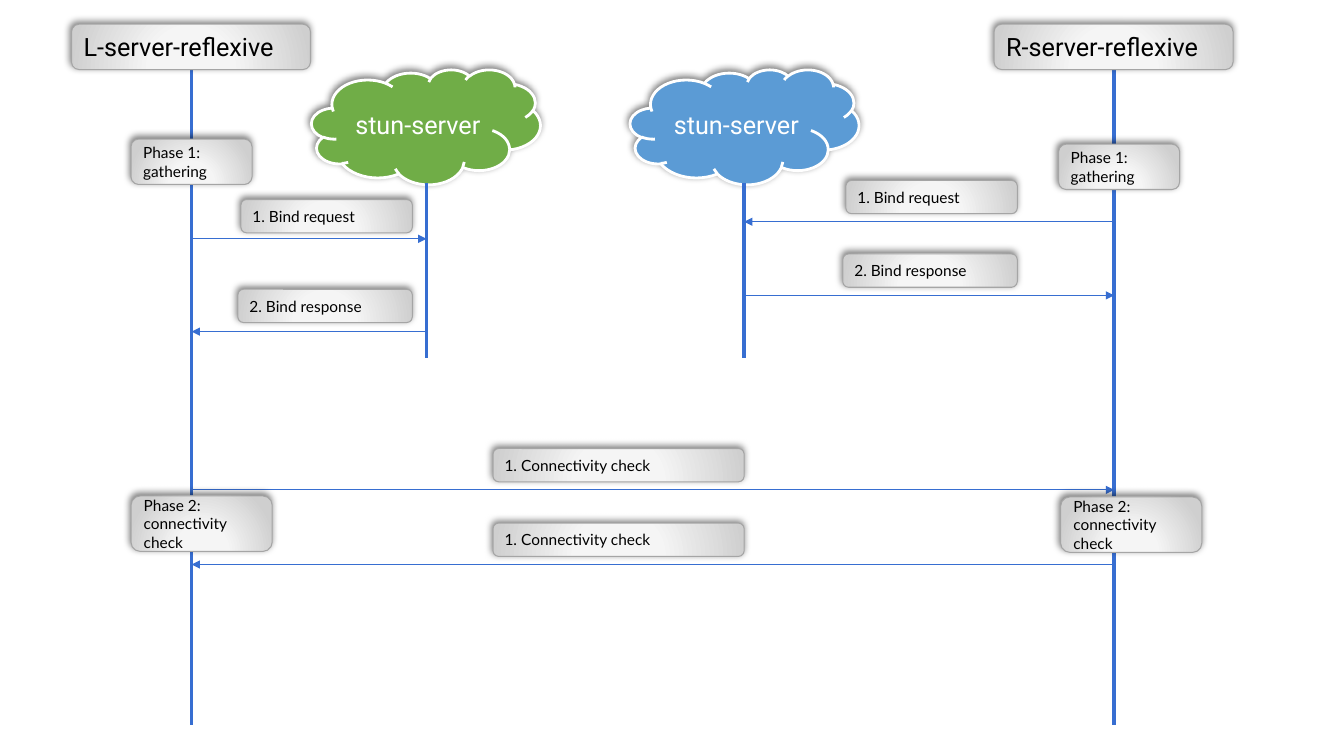
from dataclasses import dataclass

import pptx
import pptx.dml.color
import pptx.enum.shapes
import pptx.enum.text
import pptx.oxml
import pptx.oxml.ns
import pptx.shapes.autoshape
import pptx.shapes.connector
import pptx.slide
import pptx.util

Inches = pptx.util.Inches
Pt = pptx.util.Pt
MSO_SHAPE = pptx.enum.shapes.MSO_SHAPE
PP_ALIGN = pptx.enum.text.PP_ALIGN

LEFT, LEFT_STUN, RIGHT_STUN, RIGHT = 1.9, 4.23, 7.38, 11.05
BLUE, GREY, BLACK, WHITE = "376ED1", "A5A5A5", "000000", "FFFFFF"
LABEL_HEIGHT = 0.33
GRADIENT_STOPS = ((0, "F8F8F8"), (34, "F5F5F5"), (100, "CFCFCF"))
NS = pptx.oxml.ns.nsdecls("a")


@dataclass
class Box:
    text: str
    left: float
    top: float
    width: float
    height: float
    size: float = 11
    font: str = "Lato"


@dataclass
class Cloud:
    left: float
    color: str


@dataclass
class Lifeline:
    x: float
    top: float
    bottom: float


@dataclass
class Message:
    text: str
    start: float
    end: float
    y: float
    label_left: float
    label_top: float
    label_width: float


LIFELINES = [
    Lifeline(LEFT, 0.69, 7.19),
    Lifeline(LEFT_STUN, 1.82, 3.55),
    Lifeline(RIGHT_STUN, 1.82, 3.55),
    Lifeline(RIGHT, 0.69, 7.19),
]
CLOUDS = [Cloud(3.09, "70AD47"), Cloud(6.25, "5B9BD5")]
MESSAGES = [
    Message("1. Bind request", LEFT, LEFT_STUN, 2.37, 2.39, 1.98, 1.7),
    Message("2. Bind response", LEFT_STUN, LEFT, 3.29, 2.36, 2.87, 1.73),
    Message("1. Bind request", RIGHT, RIGHT_STUN, 2.2, 8.39, 1.79, 1.7),
    Message("2. Bind response", RIGHT_STUN, RIGHT, 2.93, 8.36, 2.52, 1.73),
    Message("1. Connectivity check", LEFT, RIGHT, 4.86, 4.89, 4.45, 2.49),
    Message("1. Connectivity check", RIGHT, LEFT, 5.6, 4.89, 5.19, 2.49),
]
BOXES = [
    Box("L-server-reflexive", 0.71, 0.24, 2.37, 0.45, 18, "Roboto"),
    Box("R-server-reflexive", 9.86, 0.24, 2.37, 0.45, 18, "Roboto"),
    Box("Phase 1: gathering", 1.3, 1.38, 1.2, 0.45),
    Box("Phase 1: gathering", 10.5, 1.43, 1.2, 0.45),
    Box("Phase 2: connectivity check", 1.3, 4.92, 1.4, 0.55),
    Box("Phase 2: connectivity check", 10.52, 4.93, 1.4, 0.55),
]


def rgb(color: str) -> pptx.dml.color.RGBColor:
    return pptx.dml.color.RGBColor.from_string(color)


def add_shadow(sp: pptx.shapes.autoshape.Shape) -> None:
    sp.shadow.inherit = False
    effects = sp._element.spPr.find(pptx.oxml.ns.qn("a:effectLst"))
    effects.append(pptx.oxml.parse_xml(
        f'<a:outerShdw {NS} blurRad="{Pt(5)}" dist="{Pt(2)}" dir="{245 * 60000}" '
        f'algn="tl" rotWithShape="0"><a:srgbClr val="{BLACK}">'
        '<a:alpha val="50000"/></a:srgbClr></a:outerShdw>'))


def add_gradient(sp: pptx.shapes.autoshape.Shape) -> None:
    stops = "".join(f'<a:gs pos="{pos * 1000}"><a:srgbClr val="{color}"/></a:gs>'
                    for pos, color in GRADIENT_STOPS)
    geometry = sp._element.spPr.find(pptx.oxml.ns.qn("a:prstGeom"))
    geometry.addnext(pptx.oxml.parse_xml(
        f'<a:gradFill {NS} rotWithShape="1"><a:gsLst>{stops}</a:gsLst>'
        '<a:path path="circle"><a:fillToRect l="50000" t="155000" r="50000" '
        'b="-55000"/></a:path></a:gradFill>'))


def add_node(s: pptx.slide.Slide, preset: MSO_SHAPE, box: Box, line: str,
             line_width: float, color: str,
             align: PP_ALIGN) -> pptx.shapes.autoshape.Shape:
    sp = s.shapes.add_shape(preset, Inches(box.left), Inches(box.top),
                            Inches(box.width), Inches(box.height))
    sp.line.color.rgb = rgb(line)
    sp.line.width = Pt(line_width)
    add_shadow(sp)
    tf = sp.text_frame
    tf.text = box.text
    tf.word_wrap = True
    tf.vertical_anchor = pptx.enum.text.MSO_ANCHOR.MIDDLE
    p = tf.paragraphs[0]
    p.alignment = align
    r = p.runs[0]
    r.font.size = Pt(box.size)
    r.font.name = box.font
    r.font.color.rgb = rgb(color)
    return sp


def add_box(s: pptx.slide.Slide, box: Box) -> None:
    add_gradient(add_node(s, MSO_SHAPE.ROUNDED_RECTANGLE, box, GREY, 0.75,
                          BLACK, PP_ALIGN.LEFT))


def add_cloud(s: pptx.slide.Slide, cloud: Cloud) -> None:
    box = Box("stun-server", cloud.left, 0.69, 2.27, 1.14, 18, "Roboto")
    sp = add_node(s, MSO_SHAPE.CLOUD, box, WHITE, 2, WHITE, PP_ALIGN.CENTER)
    sp.fill.solid()
    sp.fill.fore_color.rgb = rgb(cloud.color)


def add_line(s: pptx.slide.Slide, x1: float, y1: float, x2: float, y2: float,
             width: float) -> pptx.shapes.connector.Connector:
    cx = s.shapes.add_connector(pptx.enum.shapes.MSO_CONNECTOR.STRAIGHT,
                                Inches(x1), Inches(y1), Inches(x2), Inches(y2))
    cx.line.color.rgb = rgb(BLUE)
    cx.line.width = Pt(width)
    cx._element.spPr.append(pptx.oxml.parse_xml(f"<a:effectLst {NS}/>"))
    return cx


def add_message(s: pptx.slide.Slide, msg: Message) -> None:
    cx = add_line(s, msg.start, msg.y, msg.end, msg.y, 0.75)
    ln = cx._element.spPr.find(pptx.oxml.ns.qn("a:ln"))
    ln.append(pptx.oxml.parse_xml(f'<a:tailEnd {NS} type="triangle"/>'))
    add_box(s, Box(msg.text, msg.label_left, msg.label_top, msg.label_width,
                   LABEL_HEIGHT))


def main() -> None:
    prs = pptx.Presentation()
    prs.slide_width = Inches(13.33)
    prs.slide_height = Inches(7.5)
    s = prs.slides.add_slide(prs.slide_layouts[6])
    for cloud in CLOUDS:
        add_cloud(s, cloud)
    for life in LIFELINES:
        add_line(s, life.x, life.top, life.x, life.bottom, 2.5)
    for msg in MESSAGES:
        add_message(s, msg)
    for box in BOXES:
        add_box(s, box)
    prs.save("out.pptx")


if __name__ == "__main__":
    main()
